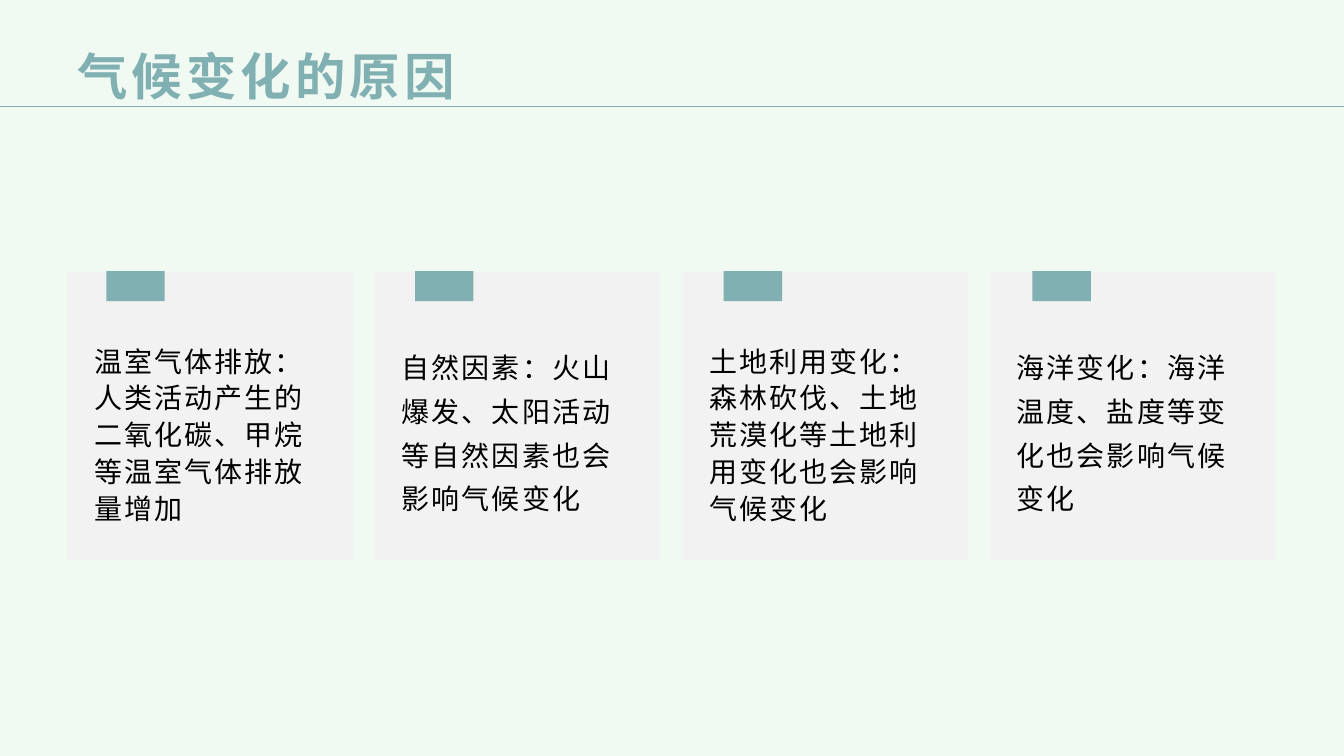
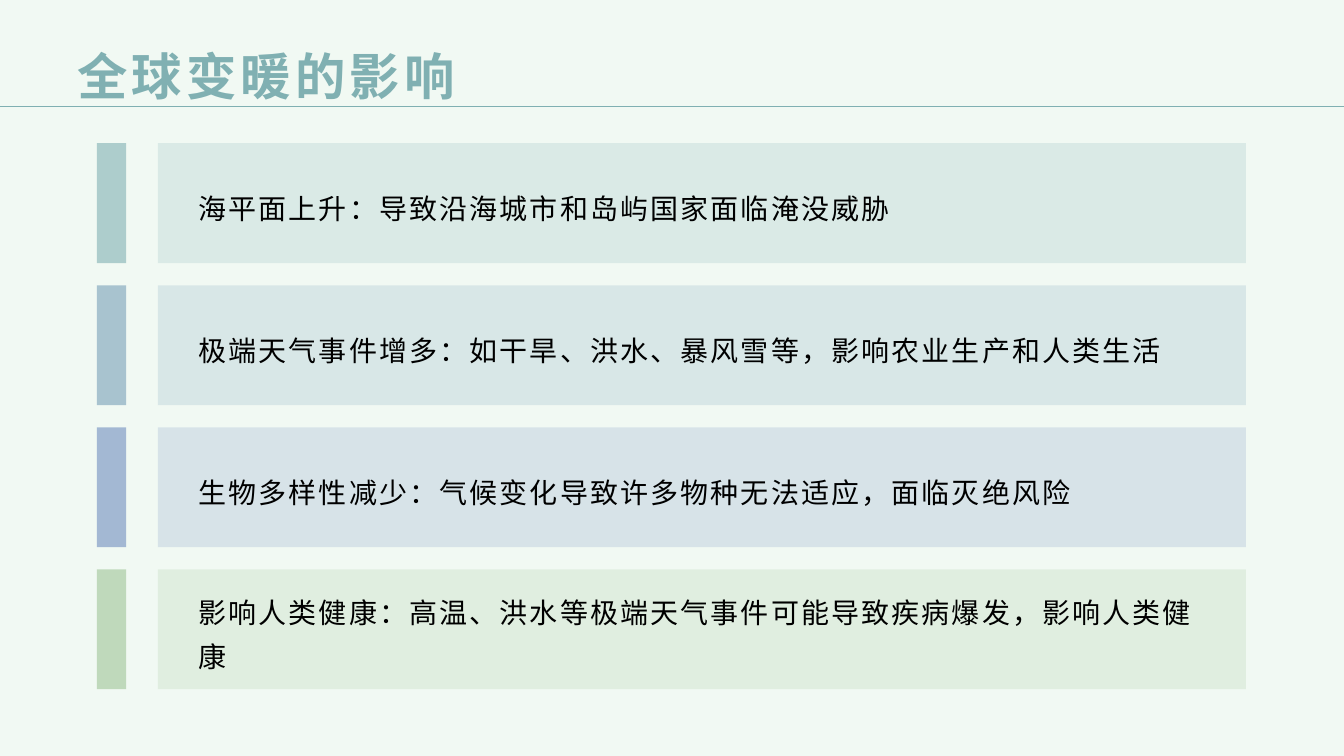
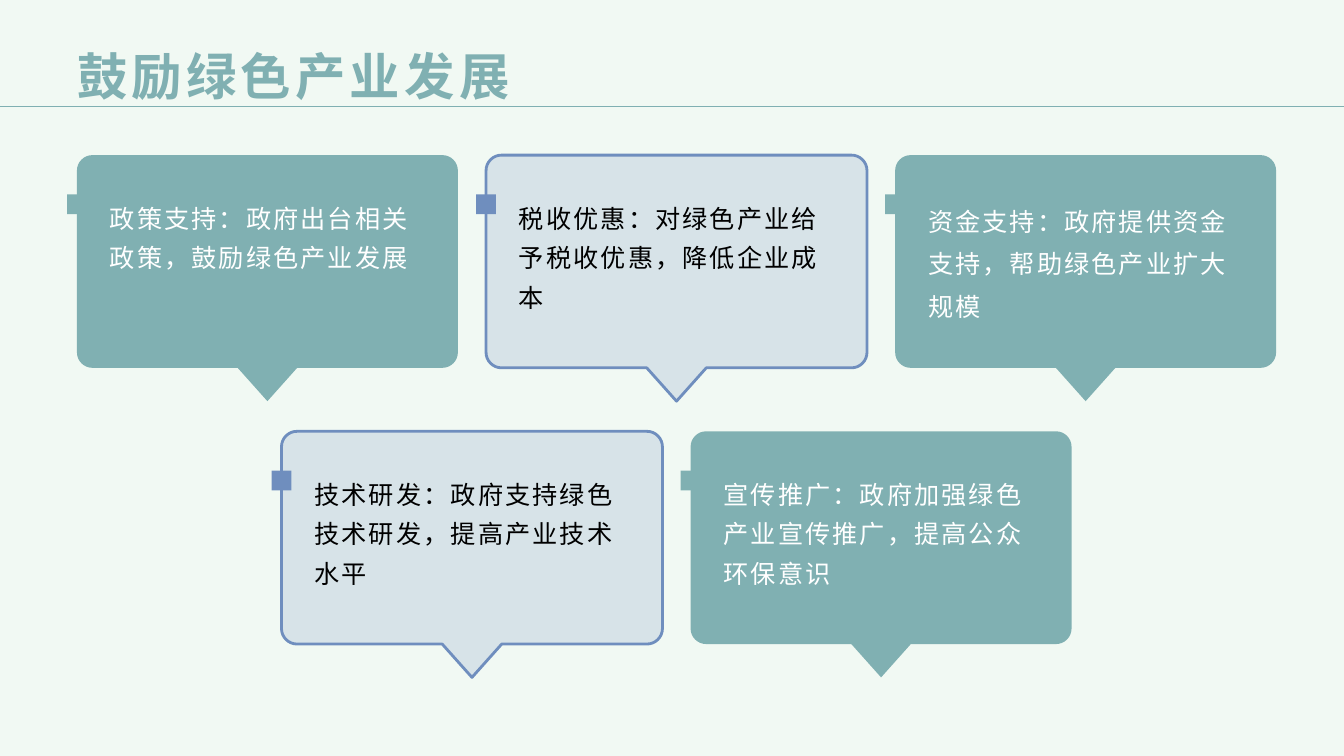
from dataclasses import dataclass
from math import cos, pi, sin
from typing import NamedTuple, Optional

from lxml.etree import SubElement
from pptx import Presentation
from pptx.dml.color import RGBColor
from pptx.enum.shapes import MSO_CONNECTOR, MSO_SHAPE
from pptx.enum.text import MSO_ANCHOR
from pptx.oxml.ns import qn
from pptx.util import Cm, Pt


# Theme: every colour, font and type size
@dataclass(frozen=True)
class Theme:
    page: str = "F1F9F3"
    teal: str = "80B0B2"
    deep_teal: str = "3A5E5F"
    steel: str = "789FB8"
    blue: str = "6F8EBE"
    green: str = "9FC597"
    card: str = "F2F2F2"
    black: str = "000000"
    white: str = "FFFFFF"
    title_font: str = "Noto Sans CJK SC"
    body_font: str = "Lato"
    bubble_font: str = "Arial"
    title_size: float = 36
    body_size: float = 20
    bubble_size: float = 18
    title_tracking: float = 3
    body_tracking: float = 1.5


THEME = Theme()
PAGE_WIDTH, PAGE_HEIGHT = 33.87, 19.05


class Area(NamedTuple):
    """Left, top, width and height in centimetres."""
    left: float
    top: float
    width: float
    height: float

    def lengths(self):
        return [Cm(value) for value in self]


@dataclass(frozen=True)
class TextStyle:
    font: str
    east_asian: str
    size: float
    tracking: float
    color: str = THEME.black
    bold: bool = False
    end_color: Optional[str] = None
    anchor: MSO_ANCHOR = MSO_ANCHOR.TOP


class Card(NamedTuple):
    text: str
    spacing: float


class Band(NamedTuple):
    text: str
    color: str


class Bubble(NamedTuple):
    text: str
    column: float
    row: int
    outlined: bool
    spacing: float = 1.3


TITLE = TextStyle(THEME.title_font, THEME.title_font, THEME.title_size,
                  THEME.title_tracking, THEME.teal, True, THEME.deep_teal,
                  MSO_ANCHOR.MIDDLE)
CARD_TEXT = TextStyle(THEME.body_font, THEME.body_font, THEME.body_size,
                      THEME.body_tracking)
BAND_TEXT = TextStyle(THEME.body_font, THEME.body_font, THEME.body_size,
                      THEME.body_tracking, anchor=MSO_ANCHOR.MIDDLE)
DARK_BUBBLE_TEXT = TextStyle(THEME.bubble_font, THEME.body_font,
                             THEME.bubble_size, THEME.body_tracking)
LIGHT_BUBBLE_TEXT = TextStyle(THEME.bubble_font, THEME.body_font,
                              THEME.bubble_size, THEME.body_tracking,
                              THEME.white)

# Content
CARDS = [
    Card("温室气体排放：人类活动产生的二氧化碳、甲烷等温室气体排放量增加", 1.1),
    Card("自然因素：火山爆发、太阳活动等自然因素也会影响气候变化", 1.3),
    Card("土地利用变化：森林砍伐、土地荒漠化等土地利用变化也会影响气候变化", 1.1),
    Card("海洋变化：海洋温度、盐度等变化也会影响气候变化", 1.3),
]
BANDS = [
    Band("海平面上升：导致沿海城市和岛屿国家面临淹没威胁", THEME.teal),
    Band("极端天气事件增多：如干旱、洪水、暴风雪等，影响农业生产和人类生活", THEME.steel),
    Band("生物多样性减少：气候变化导致许多物种无法适应，面临灭绝风险", THEME.blue),
    Band("影响人类健康：高温、洪水等极端天气事件可能导致疾病爆发，影响人类健康", THEME.green),
]
BUBBLES = [
    Bubble("政策支持：政府出台相关政策，鼓励绿色产业发展", 0, 0, False),
    Bubble("税收优惠：对绿色产业给予税收优惠，降低企业成本", 1, 0, True),
    Bubble("资金支持：政府提供资金支持，帮助绿色产业扩大规模", 2, 0, False, 1.4),
    Bubble("技术研发：政府支持绿色技术研发，提高产业技术水平", 0.5, 1, True),
    Bubble("宣传推广：政府加强绿色产业宣传推广，提高公众环保意识", 1.5, 1, False),
]


# Drawing helpers
def set_all(target, values: dict) -> None:
    for name, value in values.items():
        setattr(target, name, value)


def paint(shape, color: str, opacity: int = 100, outline: Optional[str] = None) -> None:
    shape.shadow.inherit = False
    shape.fill.solid()
    shape.fill.fore_color.rgb = RGBColor.from_string(color)
    if opacity < 100:
        fill_color = shape.element.spPr.find(qn("a:solidFill") + "/" + qn("a:srgbClr"))
        SubElement(fill_color, qn("a:alpha"), val=str(opacity * 1000))
    if outline:
        shape.line.color.rgb = RGBColor.from_string(outline)
        shape.line.width = Pt(2)
    else:
        shape.line.fill.background()


def add_block(page, area: Area, color: str, opacity: int = 100) -> None:
    block = page.shapes.add_shape(MSO_SHAPE.RECTANGLE, *area.lengths())
    paint(block, color, opacity)


def add_text(page, area: Area, text: str, style: TextStyle, spacing: float = 1.0) -> None:
    box = page.shapes.add_textbox(*area.lengths())
    set_all(box.text_frame, {"word_wrap": True, "vertical_anchor": style.anchor})
    para = box.text_frame.paragraphs[0]
    para.line_spacing = spacing
    span = para.add_run()
    span.text = text
    set_all(span.font, {"name": style.font, "size": Pt(style.size), "bold": style.bold})
    if style.end_color:
        span.font.fill.gradient()
        span.font.fill.gradient_angle = 315
        for stop, color in zip(span.font.fill.gradient_stops,
                               (style.color, style.end_color)):
            stop.color.rgb = RGBColor.from_string(color)
    else:
        span.font.color.rgb = RGBColor.from_string(style.color)
    properties = span.font._element
    properties.set("lang", "zh-CN")
    properties.set("spc", str(int(style.tracking * 100)))
    SubElement(properties, qn("a:ea"), typeface=style.east_asian)


def add_page(deck, title: str):
    page = deck.slides.add_slide(deck.slide_layouts[6])
    rule = page.shapes.add_connector(MSO_CONNECTOR.STRAIGHT, 0, Cm(2.67),
                                     Cm(PAGE_WIDTH), Cm(2.67))
    rule.line.color.rgb = RGBColor.from_string(THEME.teal)
    rule.line.width = Pt(0.5)
    SubElement(rule.element.spPr, qn("a:effectLst"))
    add_text(page, Area(1.7, 0.91, 30.48, 1.96), title, TITLE)
    return page


def add_bubble_outline(page, left: float, top: float):
    """Rounded rectangle with a pointer below its middle."""
    width, height, radius, steps = 9.6, 5.36, 0.39, 8
    tail_half, tail_height = 0.75, 0.84
    right, bottom, middle = left + width, top + height, left + width / 2
    corners = [(right - radius, top + radius), (right - radius, bottom - radius),
               (left + radius, bottom - radius), (left + radius, top + radius)]
    points = []
    for corner, (center_x, center_y) in enumerate(corners):
        for step in range(steps + 1):
            angle = (corner - 1 + step / steps) * pi / 2
            points.append((center_x + radius * cos(angle),
                           center_y + radius * sin(angle)))
        if corner == 1:
            points += [(middle + tail_half, bottom), (middle, bottom + tail_height),
                       (middle - tail_half, bottom)]
    vertices = [(Cm(x), Cm(y)) for x, y in points]
    builder = page.shapes.build_freeform(*vertices[0])
    builder.add_line_segments(vertices[1:], close=True)
    return builder.convert_to_shape()


# Pages
def build_causes(deck) -> None:
    page = add_page(deck, "气候变化的原因")
    for index, card in enumerate(CARDS):
        left = 1.7 + 7.75 * index
        add_block(page, Area(left, 6.86, 7.19, 7.26), THEME.card)
        add_block(page, Area(2.68 + 7.78 * index, 6.83, 1.47, 0.76), THEME.teal)
        add_text(page, Area(left + 0.42, 8.46, 6.32, 5.11), card.text,
                 CARD_TEXT, card.spacing)


def build_effects(deck) -> None:
    page = add_page(deck, "全球变暖的影响")
    for index, band in enumerate(BANDS):
        top = 3.61 + 3.58 * index
        add_block(page, Area(3.98, top, 27.42, 3.02), band.color, 20)
        add_block(page, Area(2.44, top, 0.74, 3.02), band.color, 60)
        add_text(page, Area(4.75, top + 0.26, 26.24, 2.49), band.text, BAND_TEXT, 1.3)


def build_industry(deck) -> None:
    page = add_page(deck, "鼓励绿色产业发展")
    for bubble in BUBBLES:
        left, top = 1.94 + 10.31 * bubble.column, 3.91 + 6.96 * bubble.row
        color = THEME.blue if bubble.outlined else THEME.teal
        outline = add_bubble_outline(page, left, top)
        if bubble.outlined:
            paint(outline, color, 20, color)
        else:
            paint(outline, color)
        add_block(page, Area(left - 0.25, top + 0.99, 0.5, 0.5), color)
        style = DARK_BUBBLE_TEXT if bubble.outlined else LIGHT_BUBBLE_TEXT
        add_text(page, Area(left + 0.58, top + 0.86, 8.43, 3.51), bubble.text,
                 style, bubble.spacing)


def main() -> None:
    deck = Presentation()
    set_all(deck, {"slide_width": Cm(PAGE_WIDTH), "slide_height": Cm(PAGE_HEIGHT)})
    background = deck.slide_master.background.fill
    background.solid()
    background.fore_color.rgb = RGBColor.from_string(THEME.page)
    for build in (build_causes, build_effects, build_industry):
        build(deck)
    deck.save("out.pptx")


if __name__ == "__main__":
    main()
